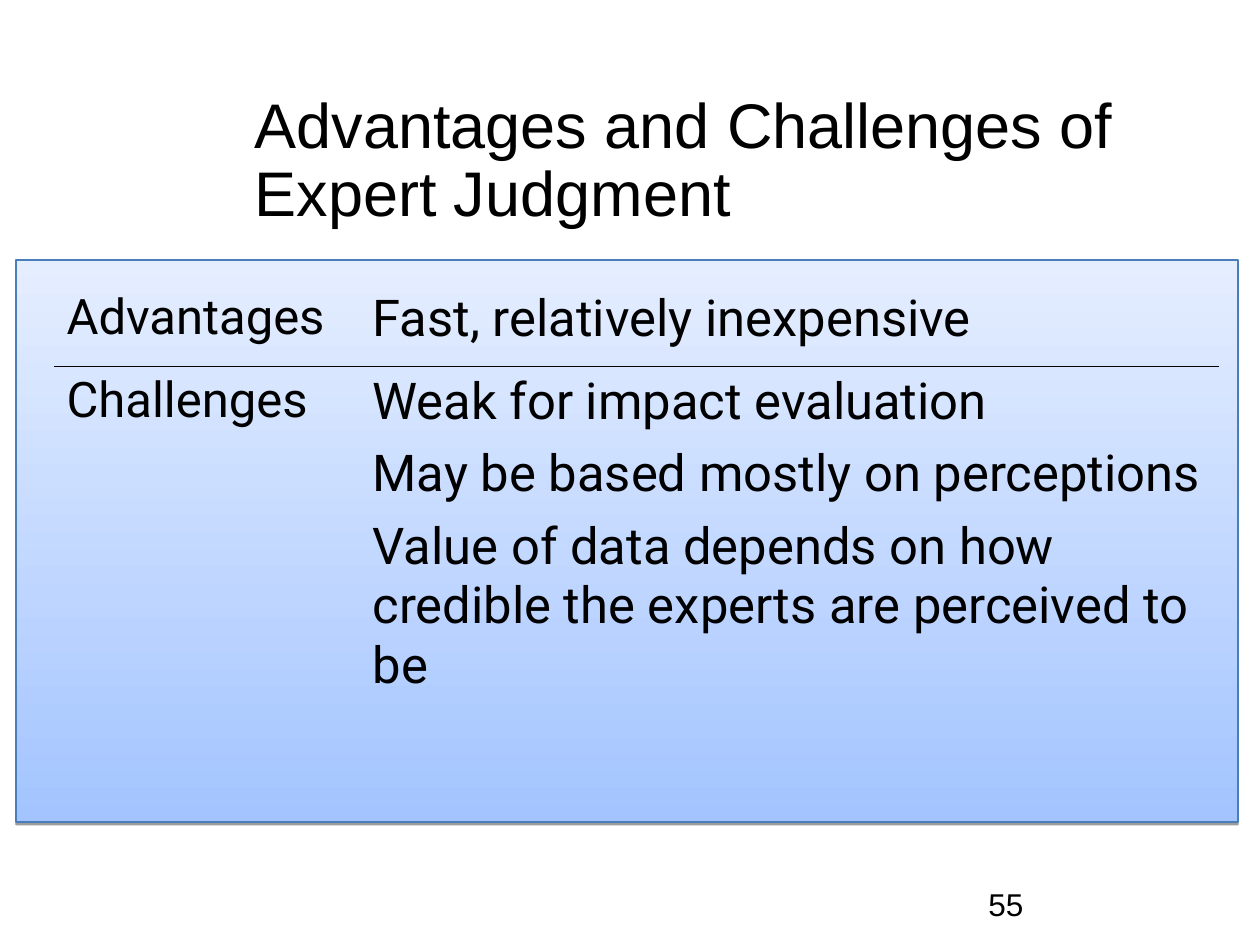
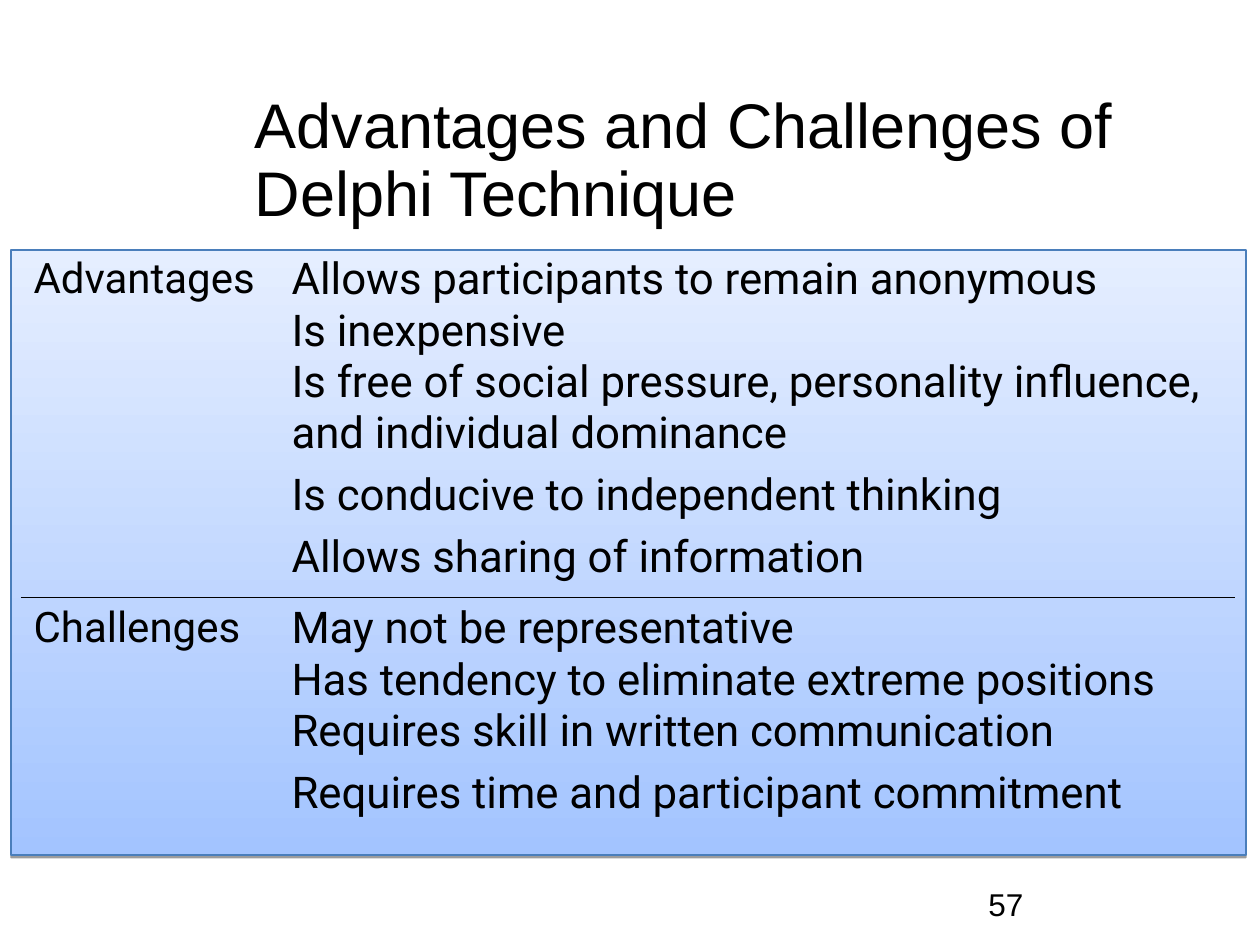
import lxml.etree
import pptx
import pptx.dml.color
import pptx.enum.shapes
import pptx.enum.text
import pptx.oxml.ns
import pptx.util

COLOURS = {"text": "000000", "panel_bottom": "A3C4FF", "panel_top": "E5EEFF",
           "panel_edge": "4A7EBB", "shadow": "000000", "rule": "000000"}
TITLE_FONT, TABLE_FONT = "Arial", "Roboto"
SLIDE_SIZE = (1260, 945)
TITLE_BOX = (242, 84, 924, 157)
NUMBER_BOX = (976, 879, 282, 49)

SLIDES = [
    {
        "title": "Advantages and Challenges of Expert Judgment",
        "number": "55",
        "panel": (16, 260, 1222, 562),
        "table_at": (54, 283),
        "columns": (306, 859),
        "rows": (83, 403),
        "label_size": 28,
        "point_size": 29,
        "points": {
            "Advantages": ["Fast, relatively inexpensive"],
            "Challenges": [
                "Weak for impact evaluation",
                "May be based mostly on perceptions",
                "Value of data depends on how credible the experts are perceived to be",
            ],
        },
    },
    {
        "title": "Advantages and Challenges of Delphi Technique",
        "number": "57",
        "panel": (11, 250, 1235, 605),
        "table_at": (21, 248),
        "columns": (258, 956),
        "rows": (349, 257),
        "label_size": 24,
        "point_size": 25,
        "points": {
            "Advantages": [
                "Allows participants to remain anonymous\nIs inexpensive\n"
                "Is free of social pressure, personality influence, and individual dominance",
                "Is conducive to independent thinking",
                "Allows sharing of information",
            ],
            "Challenges": [
                "May not be representative\nHas tendency to eliminate extreme positions\n"
                "Requires skill in written communication",
                "Requires time and participant commitment",
            ],
        },
    },
]


def px(length):
    return pptx.util.Emu(round(length * 914400 / 126))


def box(lengths):
    return [px(length) for length in lengths]


def rgb(name):
    return pptx.dml.color.RGBColor.from_string(COLOURS[name])


def element(parent, tag, **attributes):
    return lxml.etree.SubElement(parent, pptx.oxml.ns.qn(tag), attributes)


def write(frame, paragraphs, *, font, size, gap=0, line_spacing=None, anchor=None):
    frame.word_wrap = True
    if anchor is not None:
        frame.vertical_anchor = anchor
    for index, text in enumerate(paragraphs):
        paragraph = frame.add_paragraph() if index else frame.paragraphs[0]
        paragraph.text = text
        paragraph.alignment = pptx.enum.text.PP_ALIGN.LEFT
        paragraph.space_before = pptx.util.Pt(gap if index else 0)
        paragraph.line_spacing = line_spacing
        for run in paragraph.runs:
            run.font.name = font
            run.font.size = pptx.util.Pt(size)
            run.font.color.rgb = rgb("text")


def add_panel(slide, lengths):
    panel = slide.shapes.add_shape(pptx.enum.shapes.MSO_SHAPE.RECTANGLE, *box(lengths))
    panel.fill.gradient()
    panel.fill.gradient_angle = 90
    for stop, name in zip(panel.fill.gradient_stops, ("panel_bottom", "panel_top")):
        stop.color.rgb = rgb(name)
    panel.line.color.rgb = rgb("panel_edge")
    panel.line.width = pptx.util.Pt(0.75)
    panel.shadow.inherit = False
    effects = panel._element.spPr.find(pptx.oxml.ns.qn("a:effectLst"))
    shadow = element(effects, "a:outerShdw", dist="20320", dir="5400000", rotWithShape="0")
    shade = element(shadow, "a:srgbClr", val=COLOURS["shadow"])
    element(shade, "a:alpha", val="38000")


def set_borders(cell, ruled_side):
    properties = cell._tc.get_or_add_tcPr()
    for side in ("a:lnL", "a:lnR", "a:lnT", "a:lnB"):
        border = element(properties, side, w="5715")
        if side == ruled_side:
            element(element(border, "a:solidFill"), "a:srgbClr", val=COLOURS["rule"])
        else:
            element(border, "a:noFill")
    cell.fill.background()


def add_points(slide, content):
    columns, rows = content["columns"], content["rows"]
    extent = (*content["table_at"], sum(columns), sum(rows))
    table = slide.shapes.add_table(len(rows), len(columns), *box(extent)).table
    table.first_row = table.horz_banding = False
    for column, width in zip(table.columns, columns):
        column.width = px(width)
    for row, height, (label, points), side in zip(
            table.rows, rows, content["points"].items(), ("a:lnB", "a:lnT")):
        row.height = px(height)
        sizes = (content["label_size"], content["point_size"])
        for cell, paragraphs, size in zip(row.cells, ([label], points), sizes):
            write(cell.text_frame, paragraphs, font=TABLE_FONT, size=size, gap=size / 4)
            set_borders(cell, side)


def add_slide(deck, content):
    slide = deck.slides.add_slide(deck.slide_layouts[5])
    middle = pptx.enum.text.MSO_ANCHOR.MIDDLE
    title = slide.shapes.title
    title.left, title.top, title.width, title.height = box(TITLE_BOX)
    title.text_frame.auto_size = pptx.enum.text.MSO_AUTO_SIZE.NONE
    write(title.text_frame, [content["title"]], font=TITLE_FONT, size=36,
          line_spacing=0.9, anchor=middle)
    add_panel(slide, content["panel"])
    add_points(slide, content)
    number = slide.shapes.add_textbox(*box(NUMBER_BOX))
    write(number.text_frame, [content["number"]], font=TITLE_FONT, size=18, anchor=middle)


def main():
    deck = pptx.Presentation()
    deck.slide_width, deck.slide_height = box(SLIDE_SIZE)
    for content in SLIDES:
        add_slide(deck, content)
    deck.save("out.pptx")


if __name__ == "__main__":
    main()
